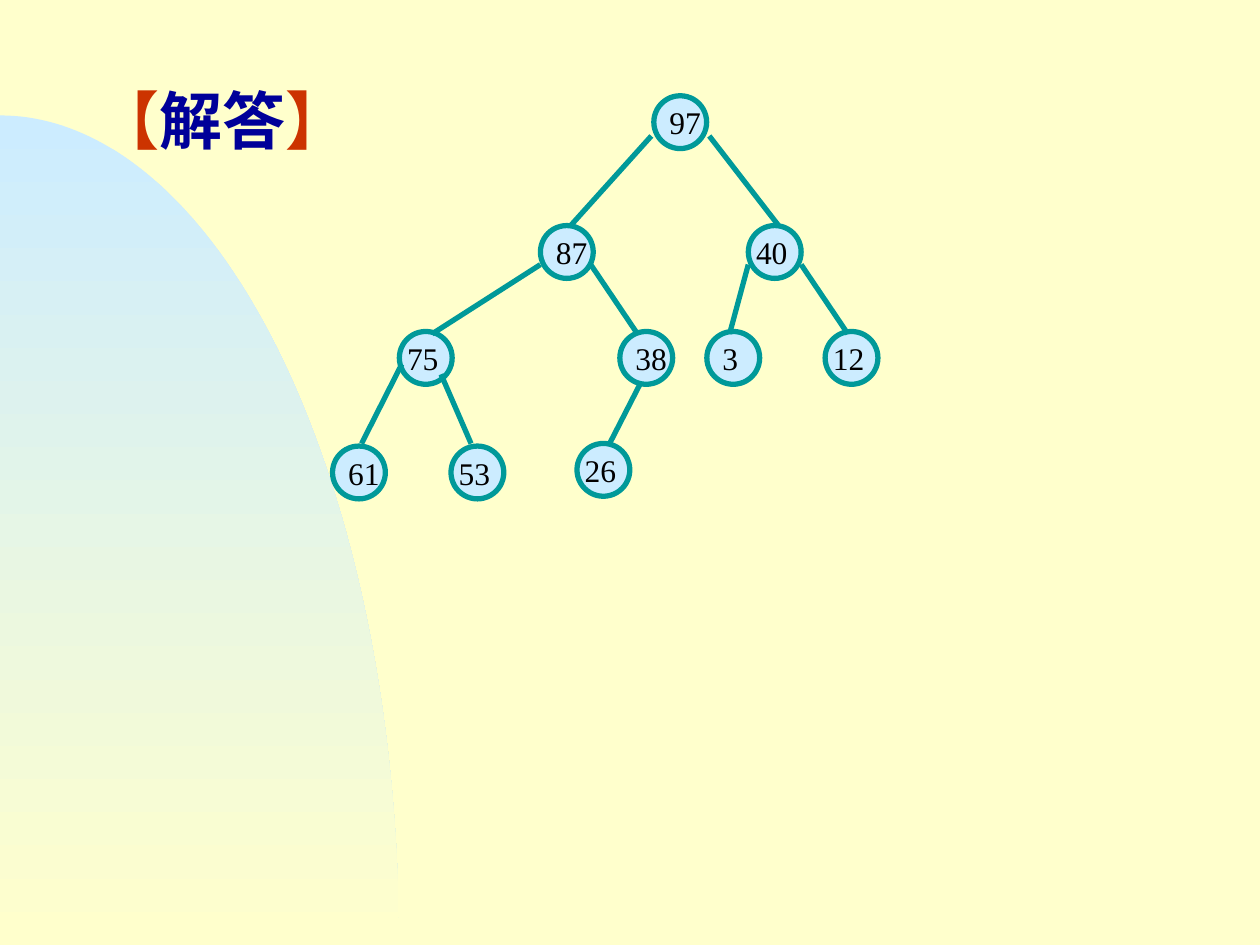
from math import cos, pi, sin

from lxml.etree import SubElement
from pptx import Presentation
from pptx.dml.color import RGBColor
from pptx.enum.shapes import MSO_CONNECTOR, MSO_SHAPE
from pptx.enum.text import MSO_ANCHOR, MSO_AUTO_SIZE, PP_ALIGN
from pptx.oxml.ns import qn
from pptx.util import Pt

FONT = "Times New Roman"
CREAM, SKY, TEAL = "FFFFCC", "CCECFF", "009999"
NODE_SIZE = 30.2
SPACE = 4.5

# value: (left, top, text indent), relative to the tree's box
NODES = {
    "97": (183.6, 0, SPACE),
    "87": (118.8, 74.2, SPACE),
    "40": (237.6, 74.2, 0),
    "75": (38.2, 134.7, 0),
    "38": (164.2, 134.7, SPACE),
    "3": (213.9, 134.7, SPACE),
    "12": (281.5, 134.7, 0),
    "61": (0, 200.2, SPACE),
    "53": (67.7, 200.2, 0),
    "26": (139.7, 198.7, 0),
}

# child, parent, and where the line meets each, relative to that node
EDGES = [
    ("87", "97", (17.3, 0), (-1.4, 23)),
    ("40", "97", (17.3, 0), (31.7, 23)),
    ("75", "87", (18.7, 1.4), (0, 22.3)),
    ("38", "87", (10.1, 1.4), (28.8, 22.3)),
    ("12", "40", (13, 1.4), (30.2, 22.3)),
    ("3", "40", (13, 1.4), (0, 22.3)),
    ("61", "75", (16.6, -1.4), (1.4, 18.7)),
    ("53", "75", (11.5, -1.4), (23.8, 24.5)),
    ("26", "38", (18.7, 0), (11.5, 30.2)),
]


def rgb(color):
    return RGBColor.from_string(color)


def add_run(p, text, size, color, bold=False):
    r = p.add_run()
    r.text = text
    r.font.name = FONT
    r.font.size = Pt(size)
    r.font.bold = bold
    r.font.color.rgb = rgb(color)


def add_arc(s, left, top, width, height, steps=90):
    """Quarter ellipse falling from the top left to the bottom right."""
    angles = [pi / 2 * i / steps for i in range(1, steps + 1)]
    points = [(Pt(left + width * sin(a)), Pt(top + height * (1 - cos(a))))
              for a in angles]
    builder = s.shapes.build_freeform(Pt(left), Pt(top))
    builder.add_line_segments(points + [(Pt(left), Pt(top + height))], close=True)
    sp = builder.convert_to_shape()
    sp.shadow.inherit = False
    sp.line.fill.background()
    sp.fill.gradient()
    sp.fill.gradient_angle = 270
    for stop, color in zip(sp.fill.gradient_stops, (SKY, CREAM)):
        stop.color.rgb = rgb(color)
    return sp


def fill_heading(sp, left, top, width, height):
    sp.left, sp.top, sp.width, sp.height = map(Pt, (left, top, width, height))
    tf = sp.text_frame
    tf.auto_size = MSO_AUTO_SIZE.NONE
    tf.vertical_anchor = MSO_ANCHOR.TOP
    p = tf.paragraphs[0]
    p.alignment = PP_ALIGN.LEFT
    p.space_before = Pt(9)
    pPr = p._p.get_or_add_pPr()
    pPr.set("marL", str(Pt(27)))
    pPr.set("indent", str(Pt(-27)))
    SubElement(pPr, qn("a:buNone"))
    for text, color in (("【", "CC3300"), ("解答", "000099"), ("】", "CC3300")):
        add_run(p, text, 36, color, bold=True)


def add_node(s, value, left, top, indent):
    sp = s.shapes.add_shape(MSO_SHAPE.OVAL, Pt(left), Pt(top),
                            Pt(NODE_SIZE), Pt(NODE_SIZE))
    sp.shadow.inherit = False
    sp.fill.solid()
    sp.fill.fore_color.rgb = rgb(SKY)
    sp.line.color.rgb = rgb(TEAL)
    sp.line.width = Pt(3)
    tf = sp.text_frame
    tf.word_wrap = False
    tf.vertical_anchor = MSO_ANCHOR.MIDDLE
    tf.margin_left = Pt(indent)
    tf.margin_top = tf.margin_right = tf.margin_bottom = 0
    p = tf.paragraphs[0]
    p.alignment = PP_ALIGN.LEFT
    add_run(p, value, 18, "010000")


def add_edge(s, start, end):
    line = s.shapes.add_connector(MSO_CONNECTOR.STRAIGHT,
                                  *map(Pt, start), *map(Pt, end))
    line.line.color.rgb = rgb(TEAL)
    line.line.width = Pt(3)
    SubElement(line.element.spPr, qn("a:effectLst"))


def add_tree(s, left, top):
    for value, (x, y, indent) in NODES.items():
        add_node(s, value, left + x, top + y, indent)

    def locate(value, offset):
        x, y, _ = NODES[value]
        return left + x + offset[0], top + y + offset[1]

    for child, parent, child_offset, parent_offset in EDGES:
        add_edge(s, locate(child, child_offset), locate(parent, parent_offset))


def main():
    prs = Presentation()
    prs.slide_width, prs.slide_height = Pt(720), Pt(540)
    s = prs.slides.add_slide(prs.slide_layouts[1])
    s.background.fill.solid()
    s.background.fill.fore_color.rgb = rgb(CREAM)

    title = s.shapes.title.element
    title.getparent().remove(title)
    body = s.placeholders[1]
    fill_heading(body, 48, 43.2, 612, 57)
    arc = add_arc(s, 0, 66, 228, 474)
    body.element.addprevious(arc.element)
    add_tree(s, 190, 54.7)
    prs.save("out.pptx")


if __name__ == "__main__":
    main()
